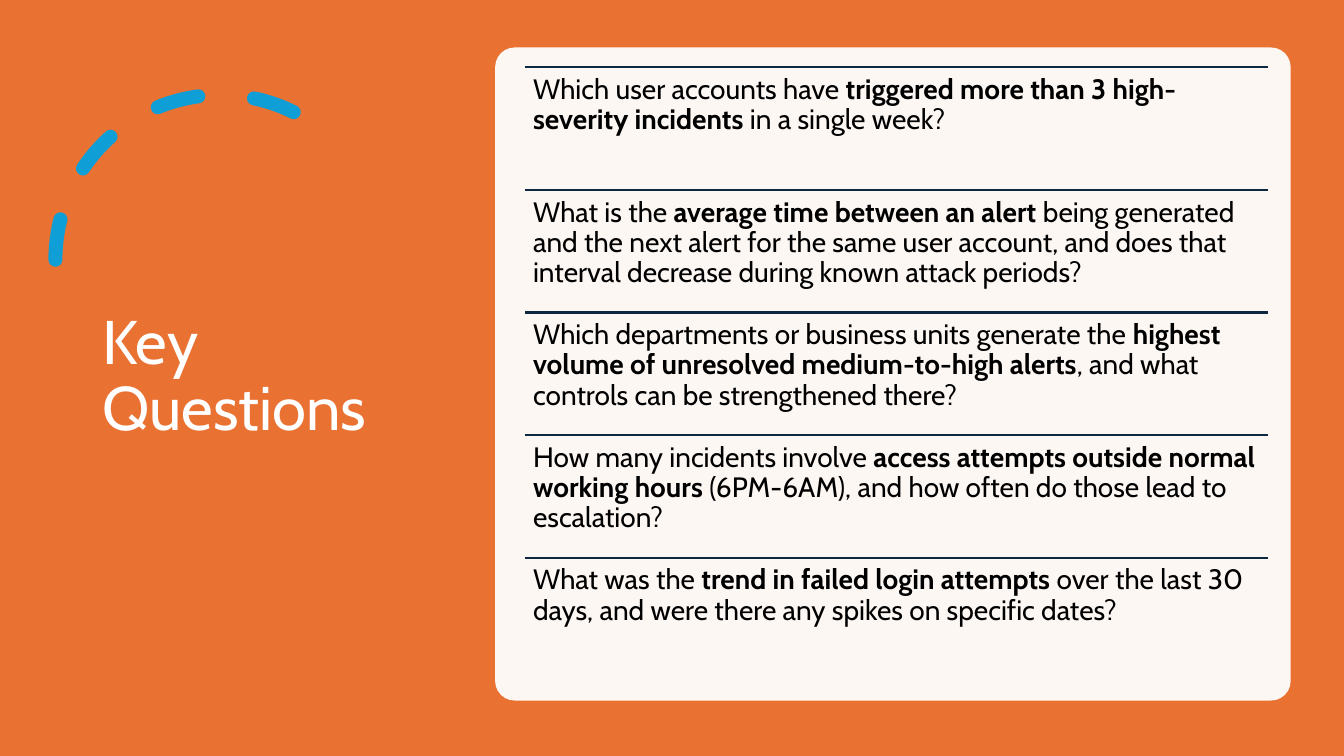
from lxml import etree
from pptx import Presentation, util as u
from pptx.dml.color import RGBColor
from pptx.enum import dml, shapes, text
from pptx.oxml.ns import qn

COLUMNS, ROWS = 160, 90
COLORS = {"orange": "E97132", "blue": "0F9ED5", "navy": "0E2841",
          "white": "FFFFFF", "black": "000000"}

# Each question: plain start, bold phrase, plain end
QUESTIONS = [
    ("Which user accounts have ",
     "triggered more than 3 high-severity incidents",
     " in a single week?"),
    ("What is the ",
     "average time between an alert ",
     "being generated and the next alert for the same user account, "
     "and does that interval decrease during known attack periods?"),
    ("Which departments or business units generate the ",
     "highest volume of unresolved medium-to-high alerts",
     ", and what controls can be strengthened there?"),
    ("How many incidents involve ",
     "access attempts outside normal working hours",
     " (6PM-6AM), and how often do those lead to escalation?"),
    ("What was the ",
     "trend in failed login attempts",
     " over the last 30 days, and were there any spikes on specific dates?"),
]


class SlideBuilder:
    """Draws on one page; lengths are columns and rows of a 160 by 90 grid."""

    font = "Cabin"
    line_spacing = 0.9

    def __init__(self, deck):
        self.page = deck.slides.add_slide(deck.slide_layouts[6])
        self.column = deck.slide_width / COLUMNS
        self.row = deck.slide_height / ROWS

    def place(self, left, top, width, height):
        """Turn grid units into slide lengths."""
        return (round(left * self.column), round(top * self.row),
                round(width * self.column), round(height * self.row))

    def color(self, name):
        return RGBColor.from_string(COLORS[name])

    def shape(self, kind, area, fill=None, opacity=100):
        shape = self.page.shapes.add_shape(kind, *self.place(*area))
        shape.shadow.inherit = False
        shape.line.fill.background()
        if fill is None:
            shape.fill.background()
            return shape
        shape.fill.solid()
        shape.fill.fore_color.rgb = self.color(fill)
        if opacity < 100:
            tone = shape._element.spPr.find(qn("a:solidFill"))[0]
            etree.SubElement(tone, qn("a:alpha"), val=str(opacity * 1000))
        return shape

    def dashed_arc(self, area, start, color, width):
        """Draw a mirrored arc with round dashes, ending at angle 0."""
        arc = self.shape(shapes.MSO_SHAPE.ARC, area)
        arc.adjustments[0] = start
        arc.adjustments[1] = 0
        arc.line.color.rgb = self.color(color)
        arc.line.width = u.Pt(width)
        arc.line.dash_style = dml.MSO_LINE.DASH
        properties = arc._element.spPr
        properties.find(qn("a:ln")).set("cap", "rnd")
        properties.find(qn("a:xfrm")).set("flipH", "1")

    def rule(self, left, top, width, color):
        x, y, length, _ = self.place(left, top, width, 0)
        line = self.page.shapes.add_connector(
            shapes.MSO_CONNECTOR.STRAIGHT, x, y, x + length, y)
        line.line.color.rgb = self.color(color)
        line.line.width = u.Pt(1.5)
        etree.SubElement(line._element.spPr, qn("a:effectLst"))

    def text(self, area, spans, size, color, inset,
             anchor=text.MSO_ANCHOR.TOP):
        """Add a paragraph of (words, bold) spans."""
        box = self.page.shapes.add_textbox(*self.place(*area))
        frame = box.text_frame
        frame.word_wrap = True
        frame.vertical_anchor = anchor
        frame.margin_left = frame.margin_right = u.Inches(inset)
        frame.margin_top = frame.margin_bottom = u.Inches(inset)
        para = frame.paragraphs[0]
        para.line_spacing = self.line_spacing
        for words, bold in spans:
            span = para.add_run()
            span.text = words
            span.font.name = self.font
            span.font.size = u.Pt(size)
            span.font.bold = bold
            span.font.color.rgb = self.color(color)


def main():
    deck = Presentation()
    deck.slide_width, deck.slide_height = u.Inches(13.33), u.Inches(7.5)
    slide = SlideBuilder(deck)

    slide.shape(shapes.MSO_SHAPE.RECTANGLE, (0, 0, COLUMNS, ROWS), "orange")
    slide.dashed_arc((6.6, 11.3, 39.25, 39.25), 146.13, "blue", 10)
    slide.text((11, 8.4, 38.8, 73.1), [("Key Questions", False)], 44, "white",
               0.1, text.MSO_ANCHOR.MIDDLE)
    panel = slide.shape(shapes.MSO_SHAPE.ROUNDED_RECTANGLE,
                        (58.95, 5.65, 94.7, 77.75), "white", opacity=95)
    panel.adjustments[0] = 0.03

    left, top, width, height = 62.5, 8, 88.45, 14.6
    for index, (start, phrase, end) in enumerate(QUESTIONS):
        y = top + index * height
        slide.rule(left, y, width, "navy")
        slide.text((left, y, width, height),
                   [(start, False), (phrase, True), (end, False)],
                   20, "black", 0.08)

    deck.save("out.pptx")


if __name__ == "__main__":
    main()
